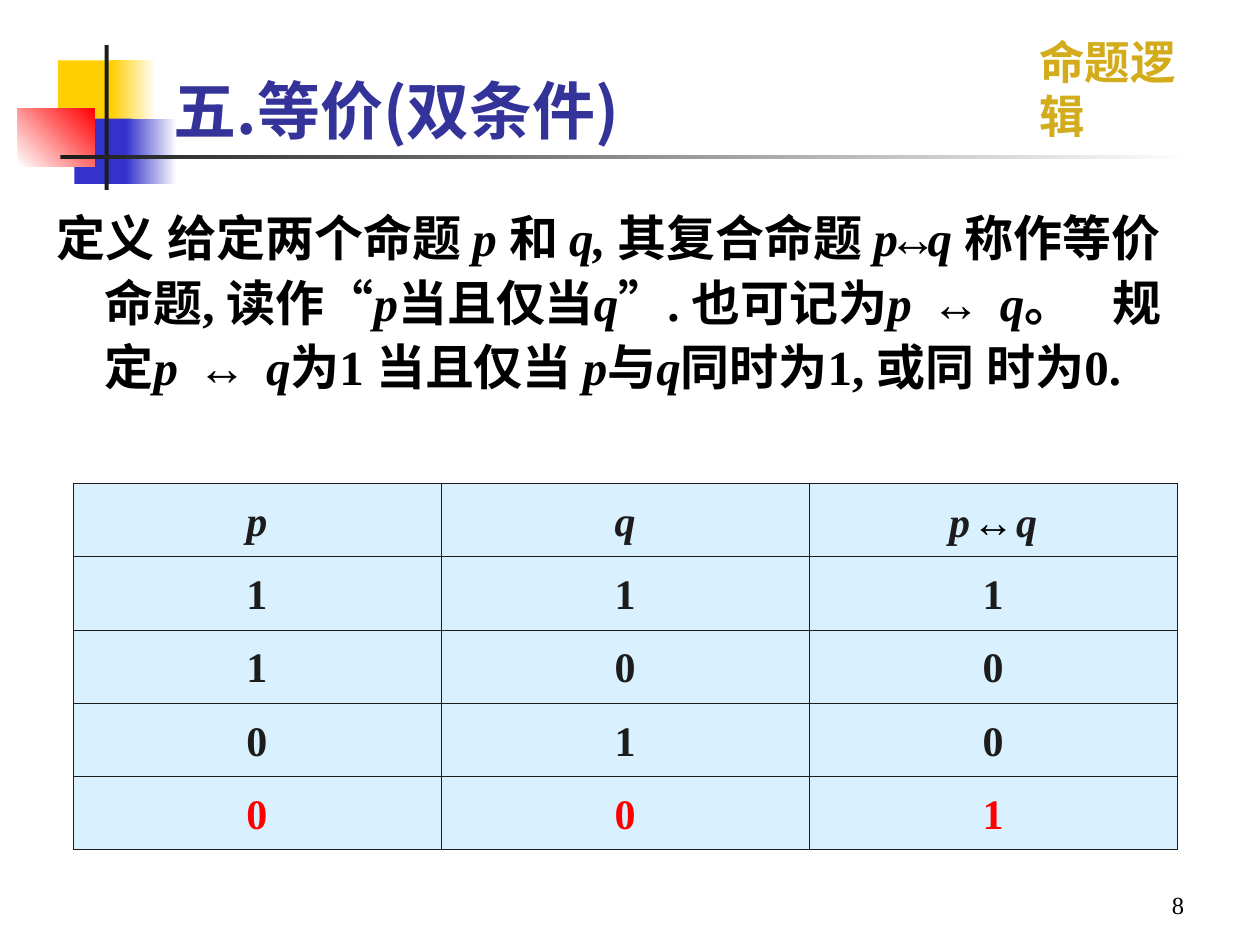
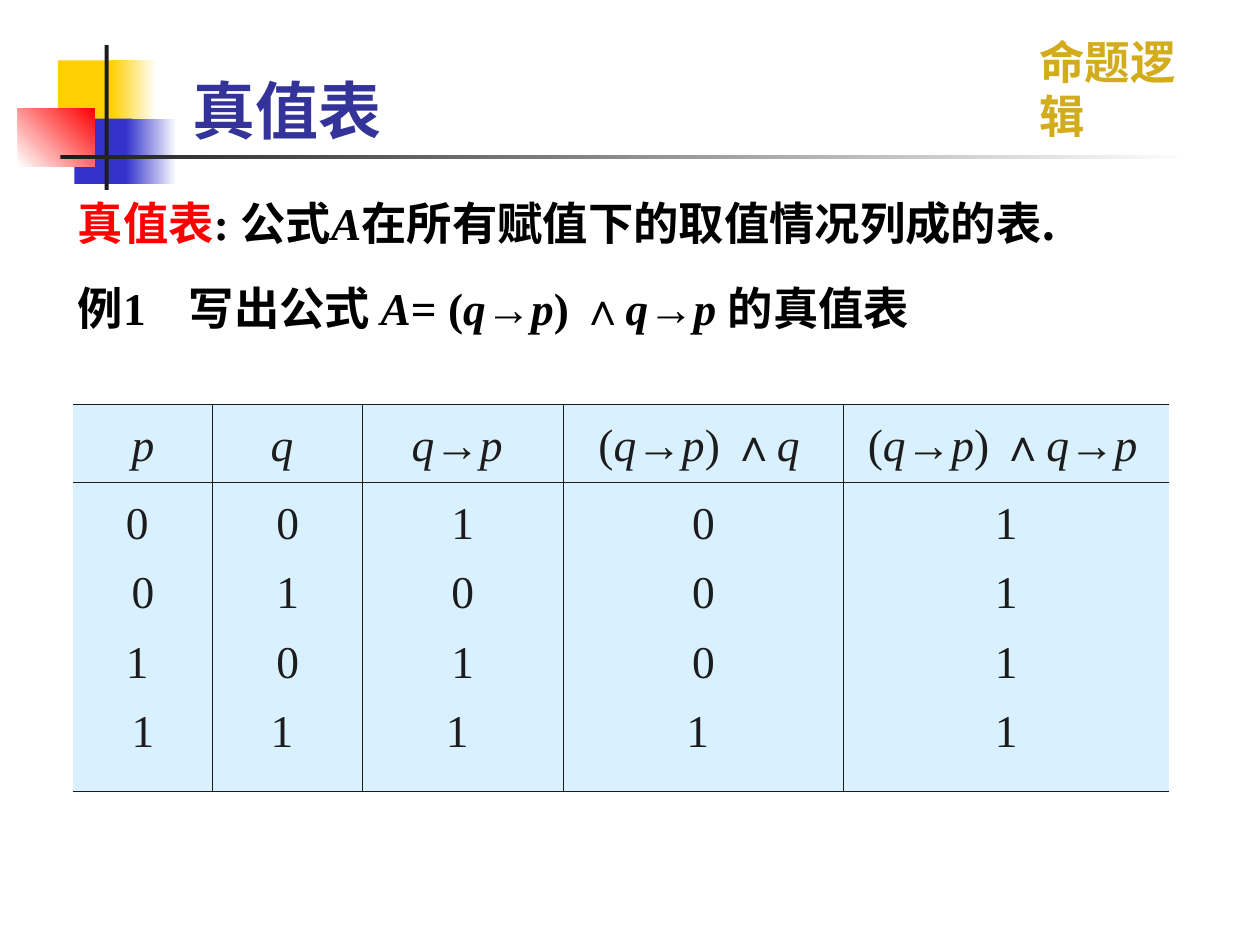
from lxml import etree
from pptx import Presentation
from pptx.dml.color import RGBColor
from pptx.enum.shapes import MSO_SHAPE
from pptx.enum.text import MSO_ANCHOR, PP_ALIGN
from pptx.oxml.ns import qn
from pptx.util import Cm, Pt

RECT = MSO_SHAPE.RECTANGLE
TOP, BOTTOM = MSO_ANCHOR.TOP, MSO_ANCHOR.BOTTOM
LEFT, CENTER, RIGHT = PP_ALIGN.LEFT, PP_ALIGN.CENTER, PP_ALIGN.RIGHT

WHITE = RGBColor(0xFF, 0xFF, 0xFF)
BLACK = RGBColor(0x00, 0x00, 0x00)
INK = RGBColor(0x1C, 0x1C, 0x1C)
RED = RGBColor(0xFF, 0x00, 0x00)
YELLOW = RGBColor(0xFF, 0xCF, 0x01)
BLUE = RGBColor(0x33, 0x33, 0xCC)
NAVY = RGBColor(0x33, 0x33, 0x99)
GOLD = RGBColor(0xD3, 0xAC, 0x1B)
PALE = RGBColor(0xD9, 0xF1, 0xFF)

SERIF, SANS, MONO = "Times New Roman", "Noto Sans CJK SC", "Courier New"
PLAIN, TAG = "Arial", "Lato"

# A pair of equal marks around a piece of text gives it this format.
MARKS = {
    "_": {"italic": True},
    "~": {"face": MONO},
    "@": {"face": MONO, "bold": False, "color": BLACK},
    "^": {"face": PLAIN},
    "`": {"face": SANS},
    "#": {"face": SANS, "color": RED},
}


def split(text):
    """Yield each piece of marked text with its format."""
    mark, part = "", ""
    for char in text:
        if char in MARKS:
            if part:
                yield part, MARKS.get(mark, {})
            mark, part = "" if char == mark else char, ""
        else:
            part += char
    if part:
        yield part, MARKS.get(mark, {})


def style(run, size, face=SERIF, color=BLACK, bold=False, italic=False,
          shadow=False):
    font = run.font
    font.size, font.bold, font.italic = Pt(size), bold, italic
    font.color.rgb = color
    if shadow:
        fill = font._element.find(qn("a:solidFill"))
        effect = etree.Element(qn("a:effectLst"))
        drop = etree.SubElement(effect, qn("a:outerShdw"),
                                dist="35921", dir="2700000")
        etree.SubElement(drop, qn("a:srgbClr"), val=str(BLACK))
        fill.addnext(effect)
    font.name = face


def write(frame, text, align=LEFT, line=1, before=0, left=0, hang=0,
          tabs=(), **font):
    """Fill a frame with one paragraph for each line of marked text."""
    for num, row in enumerate(text.split("\n")):
        para = frame.paragraphs[0] if num == 0 else frame.add_paragraph()
        props = para._p.get_or_add_pPr()
        props.set("marL", str(Cm(left + hang)))
        props.set("indent", str(Cm(-hang)))
        if tabs:
            stops = etree.SubElement(props, qn("a:tabLst"))
            for pos in tabs:
                etree.SubElement(stops, qn("a:tab"), pos=str(Cm(pos)),
                                 algn="l")
        para.alignment, para.line_spacing = align, line
        if num:
            para.space_before = Pt(before)
        for part, extra in split(row):
            run = para.add_run()
            run.text = part
            style(run, **{**font, **extra})


def label(slide, box, text, anchor=TOP, wrap=True, **form):
    frame = slide.shapes.add_textbox(*map(Cm, box)).text_frame
    frame.word_wrap, frame.vertical_anchor = wrap, anchor
    write(frame, text, **form)


def block(slide, box, start, end=None, angle=0):
    """Draw a rectangle in one colour, or fading from start to end."""
    shape = slide.shapes.add_shape(RECT, *map(Cm, box))
    shape.shadow.inherit = False
    shape.line.fill.background()
    if end is None:
        shape.fill.solid()
        shape.fill.fore_color.rgb = start
        return
    shape.fill.gradient()
    shape.fill.gradient_angle = angle
    for stop, color in zip(shape.fill.gradient_stops, (start, end)):
        stop.color.rgb = color


def banner(slide, title, left):
    """Draw the blocks, rule, topic and title that all slides share."""
    block(slide, (1.17, 1.22, 1.22, 1.32), YELLOW)
    block(slide, (2.24, 1.22, 0.91, 1.32), YELLOW, WHITE)
    block(slide, (1.5, 2.39, 1.17, 1.32), BLUE)
    block(slide, (2.54, 2.39, 1.02, 1.32), BLUE, WHITE)
    block(slide, (0.36, 2.18, 1.55, 1.17), WHITE, RED, angle=45)
    block(slide, (2.11, 0.91, 0.08, 2.92), INK)
    block(slide, (1.22, 3.12, 22.86, 0.08), INK, WHITE)
    label(slide, (20.7, 0.56, 4.17, 1.37), "命题逻辑", wrap=False,
          size=26, face=TAG, color=GOLD, bold=True)
    label(slide, (left, 0, 21, 3.1), title, anchor=BOTTOM,
          size=36, face=SANS, color=NAVY, bold=True, shadow=True)


def edge(cell, side, shown):
    props = cell._tc.get_or_add_tcPr()
    line = etree.SubElement(props, qn("a:ln" + side), w=str(Pt(0.45)))
    if shown:
        fill = etree.SubElement(line, qn("a:solidFill"))
        etree.SubElement(fill, qn("a:srgbClr"), val=str(INK))
    else:
        etree.SubElement(line, qn("a:noFill"))


def grid(slide, spot, cols, rows, cells, sides=True, **form):
    """Add a truth table; each cell is its text and its own format."""
    size = sum(cols), sum(rows)
    table = slide.shapes.add_table(len(rows), len(cols),
                                   *map(Cm, spot + size)).table
    table.first_row = table.horz_banding = False
    for col, width in zip(table.columns, cols):
        col.width = Cm(width)
    for row, height in zip(table.rows, rows):
        row.height = Cm(height)
    last = len(cols) - 1
    for y, line in enumerate(cells):
        for x, (text, extra) in enumerate(line):
            cell = table.cell(y, x)
            edge(cell, "L", sides or x > 0)
            edge(cell, "R", sides or x < last)
            edge(cell, "T", True)
            edge(cell, "B", True)
            cell.fill.solid()
            cell.fill.fore_color.rgb = PALE
            base = {"align": CENTER, "line": 1.2, "color": INK}
            write(cell.text_frame, text, **{**base, **form, **extra})


def equiv(slide):
    banner(slide, "五.等价(双条件)", 3.25)
    label(slide, (0.89, 3.94, 23.6, 5.99),
          "定义\t给定两个命题 _p _和 _q, _其复合命题 _p_~↔~_q _称作等价命题, "
          "读作^“^_p_当且仅当_q_^”^. 也可记为_p_~ ↔ ~_q_。\t规定_p_~ ↔ ~_q_"
          "为1 当且仅当 _p_与_q_同时为1, 或同\t时为0.",
          size=28, bold=True, line=1.1, hang=0.97, tabs=(1.4, 2.54))
    lines = [("_p_", "_q_", "_p _@↔@_ q_"), "111", "100", "010", "001"]
    cells = [[(text, {}) for text in line] for line in lines]
    cells[-1] = [(text, {"color": RED}) for text in lines[-1]]
    grid(slide, (1.47, 9.75), [7.42] * 3, [1.47] * 5, cells,
         size=24, bold=True)
    label(slide, (18.2, 17.35, 5.92, 1.32), "8", anchor=BOTTOM,
          align=RIGHT, size=14)


def truth(slide):
    banner(slide, "真值表", 3.63)
    label(slide, (1.32, 3.81, 22, 3.61),
          "#真值表#: `公式`_A_`在所有赋值下的取值情况列成的表.`\n"
          "例1\t写出公式 _A_= (_q_^→^_p_) ^∧^_q_^→^_p _的真值表",
          size=25.9, bold=True, before=17.5, hang=0.97, tabs=(1.27,))
    heads = [
        ("_p_", {}),
        ("_q _", {}),
        ("_q_^→^_p _", {}),
        ("(_q_^→^_p_) ^∧^_q_", {"align": LEFT, "left": 0.46}),
        ("(_q_^→^_p_) ^∧^_q_^→^_p_", {"align": LEFT, "left": 0.23}),
    ]
    values = ["0 \n0\n1 \n1", "0\n1\n0\n1 ", "1\n0\n1\n1 ",
              "0\n0\n0\n1 ", "1\n1\n1\n1"]
    grid(slide, (1.47, 8.15), [2.82, 3.02, 4.04, 5.66, 6.55], [1.57, 6.22],
         [heads, [(text, {}) for text in values]], sides=False,
         size=26, before=5.2)


def main():
    deck = Presentation()
    deck.slide_width, deck.slide_height = Cm(25.4), Cm(19.05)
    blank = deck.slide_layouts[6]
    for build in (equiv, truth):
        build(deck.slides.add_slide(blank))
    deck.save("out.pptx")


if __name__ == "__main__":
    main()
